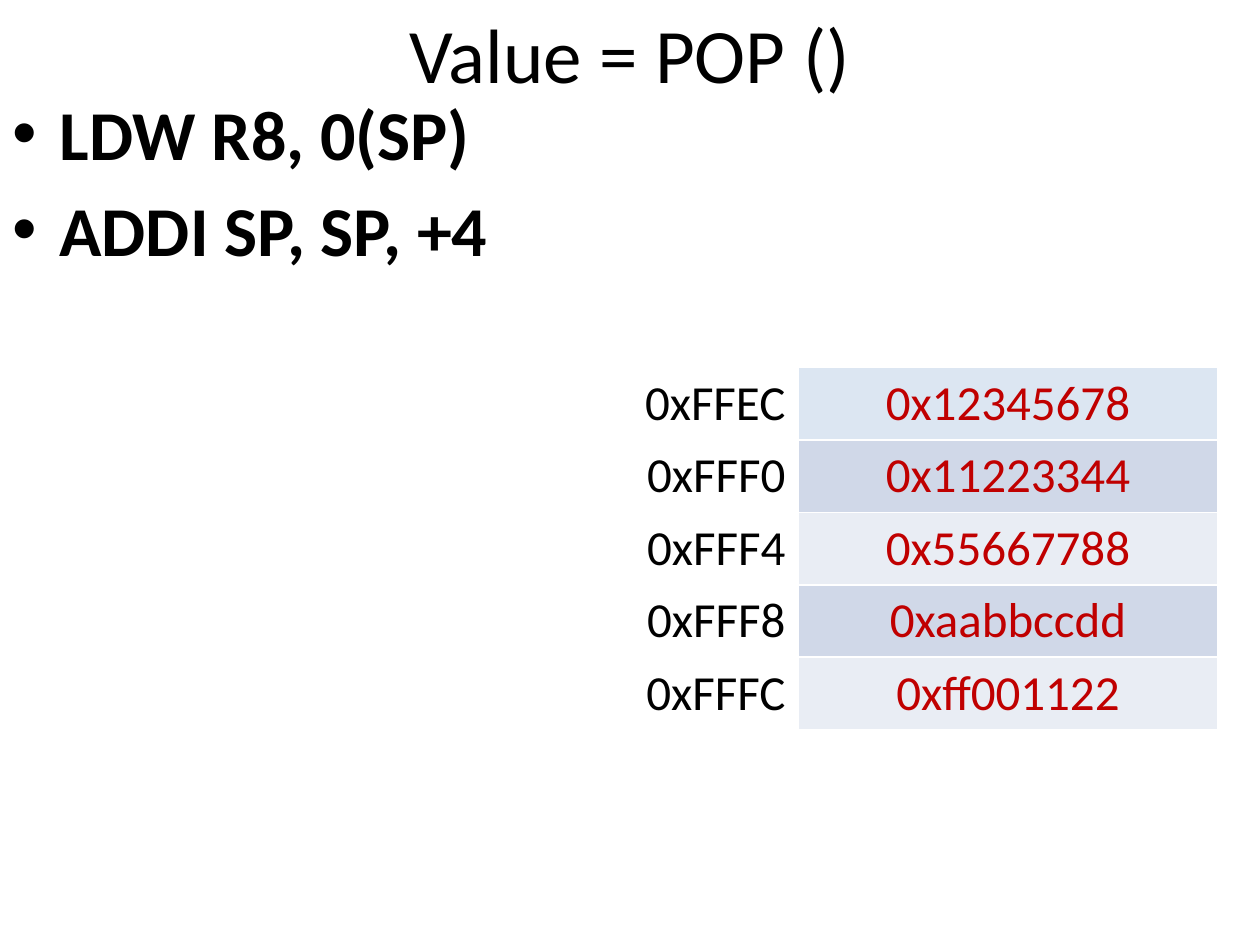
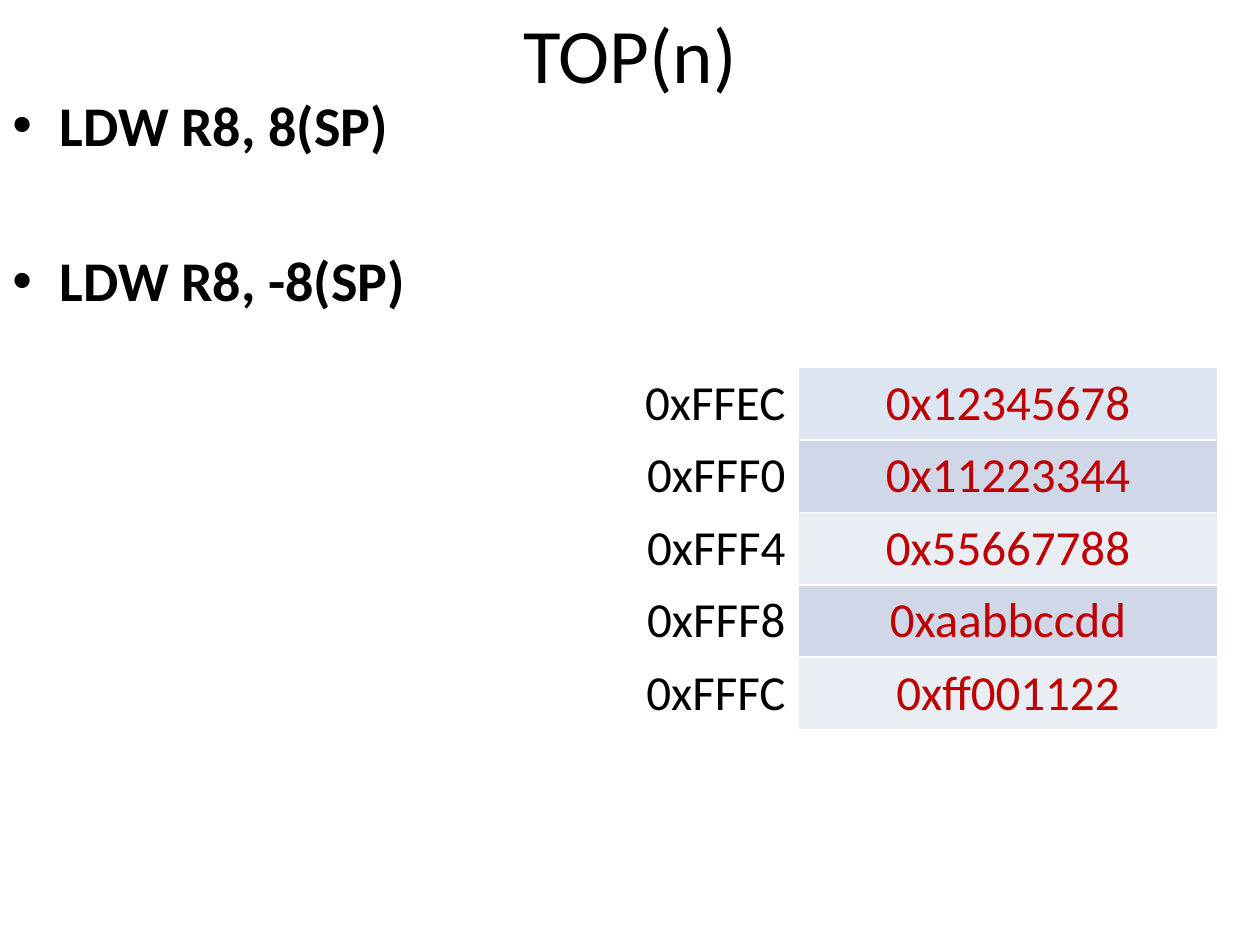
from dataclasses import dataclass

from lxml import etree
from pptx import Presentation
from pptx.dml.color import RGBColor
from pptx.enum import text
from pptx.oxml import ns
from pptx.util import Pt


@dataclass(frozen=True)
class Theme:
    font: str = "Calibri"
    ink: str = "000000"
    value: str = "C00000"
    top_fill: str = "DCE6F2"
    band_fills: tuple = ("D0D8E8", "E9EDF4")
    title_size: int = 44
    table_size: int = 28


WIDTH, HEIGHT = 720, 540
BODY_TOP = 48
BULLET_INDENT = 27
TABLE_LEFT, TABLE_TOP = 216, 210
COLUMN_WIDTH, ROW_HEIGHT = 240, 41.4

STACK = [
    ("0xFFEC", "0x12345678"),
    ("0xFFF0", "0x11223344"),
    ("0xFFF4", "0x55667788"),
    ("0xFFF8", "0xaabbccdd"),
    ("0xFFFC", "0xff001122"),
]


def write(paragraph, content, *, theme, size, color=None, bold=False,
          align=text.PP_ALIGN.LEFT, before=0):
    """Put formatted text into a paragraph."""
    paragraph.alignment = align
    paragraph.space_before = Pt(before)
    run = paragraph.add_run()
    run.text = content
    run.font.name = theme.font
    run.font.size = Pt(size)
    run.font.bold = bold
    run.font.color.rgb = RGBColor.from_string(color or theme.ink)


class Deck:
    """Holds the theme and the current slide."""

    def __init__(self, theme):
        self.theme = theme
        self.presentation = Presentation()
        self.presentation.slide_width = Pt(WIDTH)
        self.presentation.slide_height = Pt(HEIGHT)
        self.slide = None

    def new_slide(self):
        self.slide = self.presentation.slides.add_slide(
            self.presentation.slide_layouts[6])

    def text_frame(self, top, height):
        box = self.slide.shapes.add_textbox(Pt(0), Pt(top), Pt(WIDTH), Pt(height))
        frame = box.text_frame
        frame.word_wrap = True
        frame.vertical_anchor = text.MSO_ANCHOR.TOP
        return frame

    def title(self, content):
        frame = self.text_frame(0, 42)
        write(frame.paragraphs[0], content, theme=self.theme,
              size=self.theme.title_size, align=text.PP_ALIGN.CENTER)

    def bullets(self, lines, size, gap):
        frame = self.text_frame(BODY_TOP, HEIGHT - BODY_TOP)
        for index, line in enumerate(lines):
            paragraph = frame.add_paragraph() if index else frame.paragraphs[0]
            write(paragraph, line, theme=self.theme, size=size, bold=True,
                  before=gap if index else 0)
            # Hanging bullet
            properties = paragraph._p.get_or_add_pPr()
            properties.set("marL", str(Pt(BULLET_INDENT)))
            properties.set("indent", str(-Pt(BULLET_INDENT)))
            etree.SubElement(properties, ns.qn("a:buFont"), typeface="Arial")
            etree.SubElement(properties, ns.qn("a:buChar"), char="•")

    def memory_table(self, rows):
        # The default table style supplies the white rules between cells
        table = self.slide.shapes.add_table(
            len(rows), 2, Pt(TABLE_LEFT), Pt(TABLE_TOP),
            Pt(2 * COLUMN_WIDTH), Pt(len(rows) * ROW_HEIGHT)).table
        for index, (address, value) in enumerate(rows):
            table.rows[index].height = Pt(ROW_HEIGHT)
            address_cell, value_cell = table.rows[index].cells
            address_cell.fill.background()
            fill = self.theme.band_fills[(index - 1) % 2] if index else self.theme.top_fill
            value_cell.fill.solid()
            value_cell.fill.fore_color.rgb = RGBColor.from_string(fill)
            write(address_cell.text_frame.paragraphs[0], address, theme=self.theme,
                  size=self.theme.table_size, align=text.PP_ALIGN.RIGHT)
            write(value_cell.text_frame.paragraphs[0], value, theme=self.theme,
                  size=self.theme.table_size, color=self.theme.value,
                  align=text.PP_ALIGN.CENTER)


def main():
    deck = Deck(Theme())
    # Title, instructions, their size and the gap between them
    slides = [
        ("Value = POP ()", ["LDW R8, 0(SP)", "ADDI SP, SP, +4"], 40, 7.2),
        ("TOP(n)", ["LDW R8, 8(SP)", "LDW R8, -8(SP)"], 32, 50.6),
    ]
    for title, instructions, size, gap in slides:
        deck.new_slide()
        deck.title(title)
        deck.bullets(instructions, size, gap)
        deck.memory_table(STACK)
    deck.presentation.save("out.pptx")


if __name__ == "__main__":
    main()
